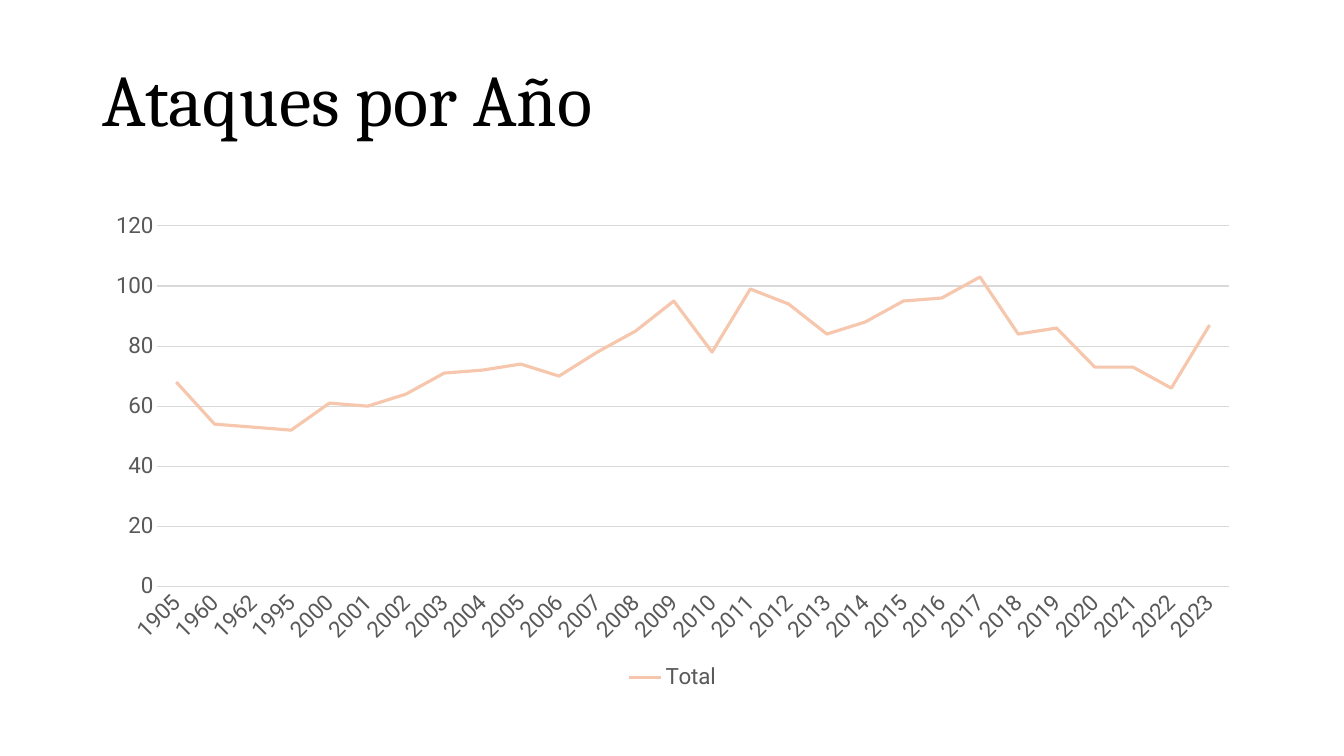
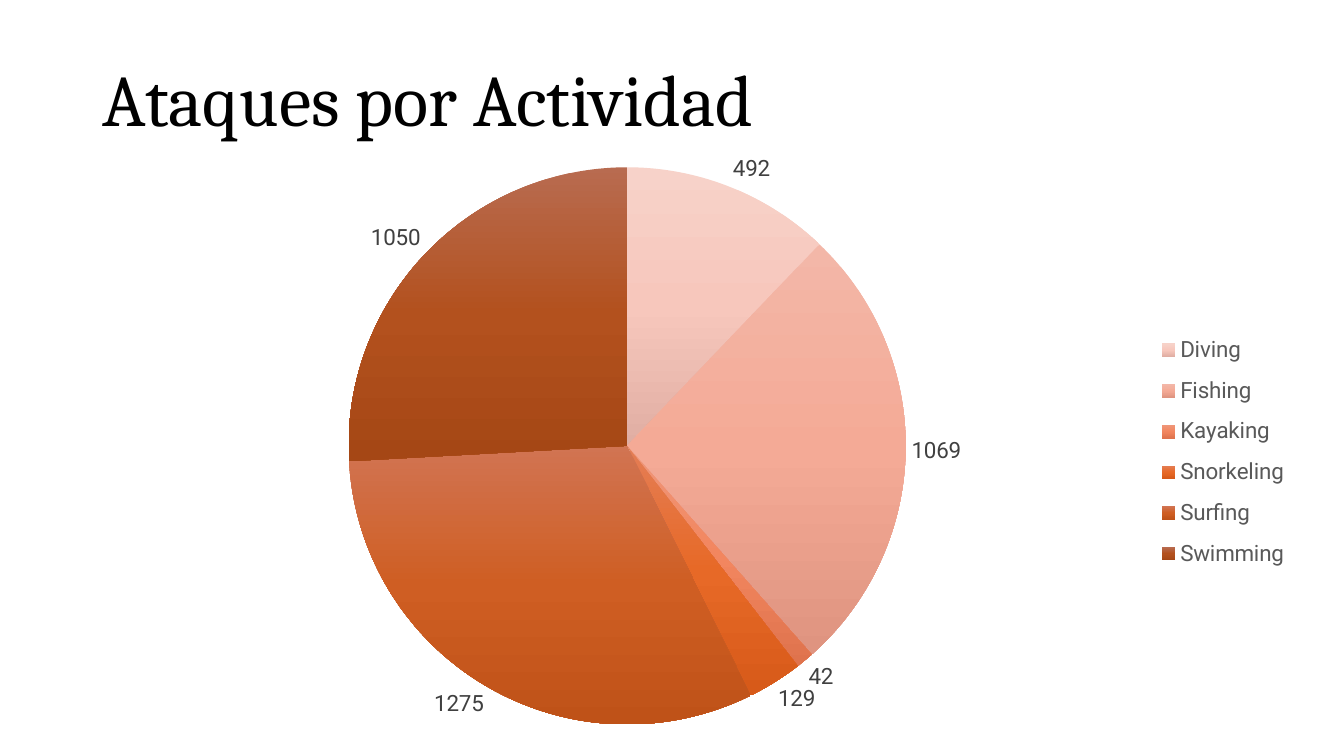
"""Build two slides of charts on attacks by year and by activity."""
from copy import deepcopy

from pptx import Presentation
from pptx.chart.data import CategoryChartData
from pptx.dml.color import RGBColor
from pptx.enum.chart import (XL_CHART_TYPE, XL_LABEL_POSITION,
                             XL_LEGEND_POSITION, XL_TICK_MARK)
from pptx.enum.text import MSO_ANCHOR
from pptx.oxml import parse_xml
from pptx.oxml.ns import nsdecls
from pptx.util import Cm, Pt

LINE, PIE = XL_CHART_TYPE.LINE, XL_CHART_TYPE.PIE
BOTTOM, RIGHT = XL_LEGEND_POSITION.BOTTOM, XL_LEGEND_POSITION.RIGHT
OUTSIDE = XL_LABEL_POSITION.OUTSIDE_END
NO_TICK = XL_TICK_MARK.NONE
MIDDLE = MSO_ANCHOR.MIDDLE

HEAD, BODY = "Cambria", "Roboto"
COLORS = {"title": "000000", "text": "595959", "label": "404040",
          "grid": "D9D9D9", "line": "F6C6AD"}

YEARS = ["1905", "1960", "1962", "1995"] + [str(y) for y in range(2000, 2024)]
TOTALS = [68, 54, 53, 52, 61, 60, 64, 71, 72, 74, 70, 78, 85, 95,
          78, 99, 94, 84, 88, 95, 96, 103, 84, 86, 73, 73, 66, 87]
SPORTS = {
    "Diving": (492, ("F7D2C9", "F7C7BC", "E0AEA3")),
    "Fishing": (1069, ("F3B7A8", "F4AA96", "DF9480")),
    "Kayaking": (42, ("EF977A", "F2865F", "DF734D")),
    "Snorkeling": (129, ("E47E56", "E76927", "D75A19")),
    "Surfing": (1275, ("D17452", "CF5E23", "BF5218")),
    "Swimming": (1050, ("B86B50", "B3511E", "A54715")),
}


def rgb(name):
    return RGBColor.from_string(COLORS.get(name, name))


def style(font, size, color, face=BODY):
    font.size, font.name, font.bold = Pt(size), face, False
    font.color.rgb = rgb(color)


def stroke(line, color, width):
    line.color.rgb = rgb(color)
    line.width = Pt(width)


def add_title(slide, text):
    box = slide.shapes.add_textbox(Cm(2.34), Cm(0.51), Cm(29.21), Cm(4.19))
    frame = box.text_frame
    frame.word_wrap = True
    frame.vertical_anchor = MIDDLE
    para = frame.paragraphs[0]
    para.line_spacing = 0.9
    para.space_after = Pt(6)
    run = para.add_run()
    run.text = text
    style(run.font, 52, "title", HEAD)


def add_chart(slide, kind, area, cats, name, vals, side):
    data = CategoryChartData()
    data.categories = cats
    data.add_series(name, vals)
    chart = slide.shapes.add_chart(kind, *map(Cm, area), data).chart
    chart.has_title = False
    style(chart.font, 10, "title")
    chart.has_legend = True
    chart.legend.position = side
    chart.legend.include_in_layout = False
    style(chart.legend.font, 16, "text")
    plot = chart.plots[0]
    plot.vary_by_categories = kind == PIE
    return chart, plot


def make_layout(inner, *sizes):
    target = '<c:layoutTarget val="inner"/>' if inner else ""
    modes = "".join(f'<c:{k}Mode val="edge"/>' for k in "xy")
    parts = "".join(f'<c:{k} val="{v}"/>' for k, v in zip("xywh", sizes))
    return parse_xml(f'<c:layout {nsdecls("c")}><c:manualLayout>{target}'
                     f'{modes}{parts}</c:manualLayout></c:layout>')


def place_parts(chart, plot_area, legend_area):
    root = chart.element
    for old in root.xpath(".//c:plotArea/c:layout | .//c:legend/c:layout"):
        old.getparent().remove(old)
    root.xpath(".//c:plotArea")[0].insert(0, make_layout(True, *plot_area))
    mark = root.xpath(".//c:legend/c:legendPos")[0]
    mark.addnext(make_layout(False, *legend_area))


def style_axis(axis):
    axis.major_tick_mark = axis.minor_tick_mark = NO_TICK
    style(axis.tick_labels.font, 16, "text")


def shade(fill, colors):
    fill.gradient()
    fill.gradient_angle = 270
    first = fill.gradient_stops[0]
    first._gs.addnext(deepcopy(first._gs))
    for stop, place, color in zip(fill.gradient_stops, (0, 0.5, 1), colors):
        stop.position = place
        stop.color.rgb = rgb(color)


def add_years(slide):
    chart, plot = add_chart(slide, LINE, (2.34, 5.13, 29.21, 12.37),
                            YEARS, "Total", TOTALS, BOTTOM)
    cat, val = chart.category_axis, chart.value_axis
    for axis in (cat, val):
        style_axis(axis)
    stroke(cat.format.line, "grid", 0.75)
    cat._element.xpath("./c:txPr/a:bodyPr")[0].set("rot", "-2700000")
    val.minimum_scale, val.maximum_scale, val.major_unit = 0, 120, 20
    val.format.line.fill.background()
    stroke(val.major_gridlines.format.line, "grid", 0.75)
    series = plot.series[0]
    series.smooth = False
    stroke(series.format.line, "line", 2.25)


def add_sports(slide):
    vals = [val for val, _ in SPORTS.values()]
    chart, plot = add_chart(slide, PIE, (0.79, 3.28, 34.52, 15.6),
                            list(SPORTS), "Series 1", vals, RIGHT)
    place_parts(chart, (0.23, 0.06, 0.41, 0.9), (0.82, 0.31, 0.1, 0.42))
    for i, (_, colors) in enumerate(SPORTS.values()):
        shade(plot.series[0].points[i].format.fill, colors)
    plot.has_data_labels = True
    labels = plot.data_labels
    labels.show_value = True
    labels.show_percentage = False
    labels.position = OUTSIDE
    style(labels.font, 16, "label")


def main():
    deck = Presentation()
    deck.slide_width, deck.slide_height = Cm(33.87), Cm(19.05)
    for title, draw in (("Ataques por Año", add_years),
                        ("Ataques por Actividad", add_sports)):
        slide = deck.slides.add_slide(deck.slide_layouts[6])
        draw(slide)
        add_title(slide, title)
    deck.save("out.pptx")


if __name__ == "__main__":
    main()
